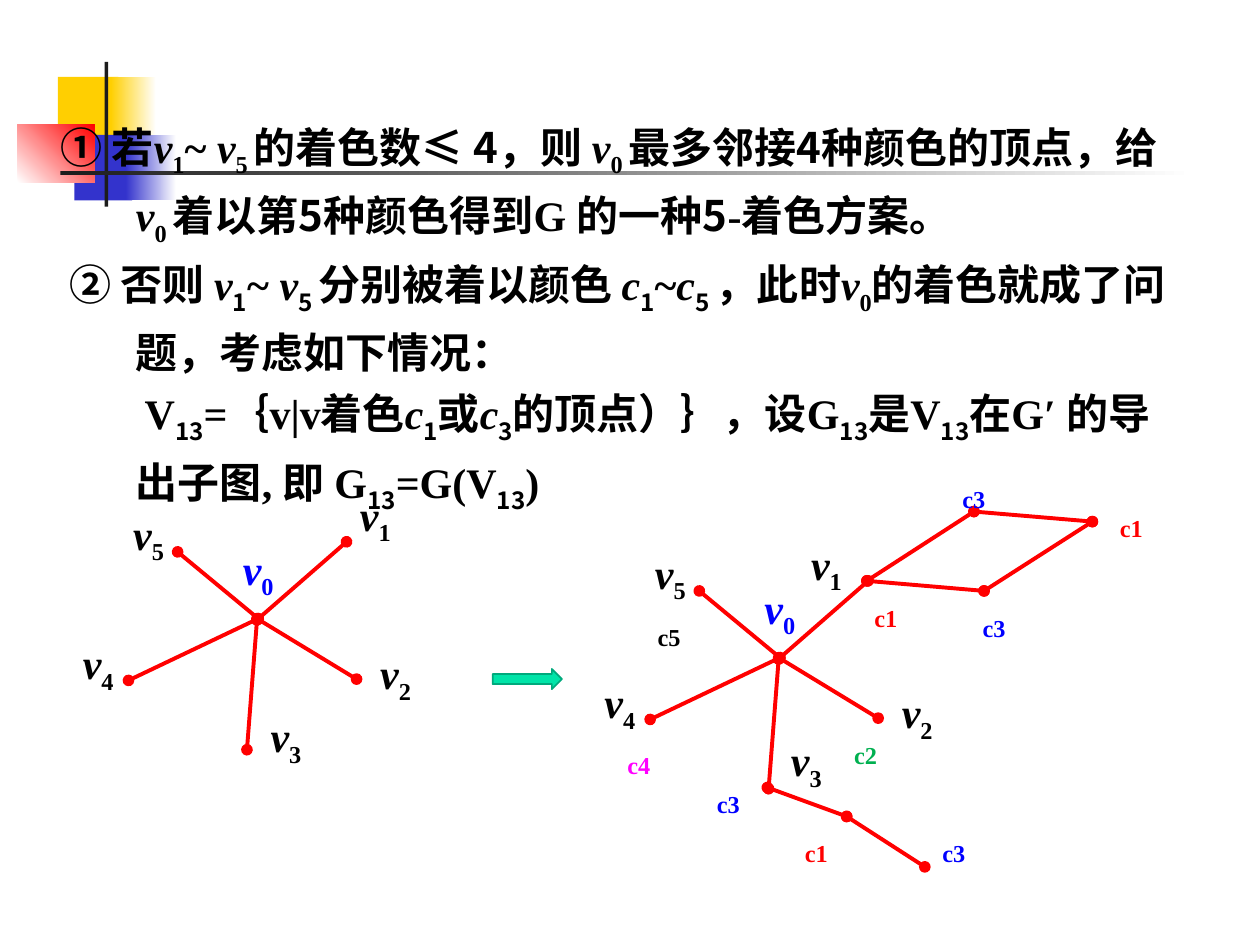
from typing import NamedTuple

from lxml import etree
from pptx import Presentation
from pptx.dml.color import RGBColor
from pptx.enum.shapes import MSO_CONNECTOR, MSO_SHAPE
from pptx.enum.text import MSO_ANCHOR, MSO_AUTO_SIZE, PP_ALIGN
from pptx.oxml.ns import qn
from pptx.util import Inches, Pt

RECT, ARROW = MSO_SHAPE.RECTANGLE, MSO_SHAPE.RIGHT_ARROW
STRAIGHT = MSO_CONNECTOR.STRAIGHT
MIDDLE, TOP = MSO_ANCHOR.MIDDLE, MSO_ANCHOR.TOP
CENTER = PP_ALIGN.CENTER
GROW = MSO_AUTO_SIZE.SHAPE_TO_FIT_TEXT

BLACK = RGBColor(0x00, 0x00, 0x00)
WHITE = RGBColor(0xFF, 0xFF, 0xFF)
RED = RGBColor(0xFF, 0x00, 0x00)
BLUE = RGBColor(0x00, 0x00, 0xFF)
GREEN = RGBColor(0x00, 0xB0, 0x50)
MAGENTA = RGBColor(0xFF, 0x00, 0xFF)
YELLOW = RGBColor(0xFF, 0xCF, 0x01)
INDIGO = RGBColor(0x33, 0x33, 0xCC)
CHARCOAL = RGBColor(0x1C, 0x1C, 0x1C)
MINT = RGBColor(0x00, 0xE4, 0xA8)
TEAL = RGBColor(0x00, 0xA9, 0x7C)

SERIF, SANS = "Times New Roman", "Noto Sans CJK SC"


class Block(NamedTuple):
    x: float
    y: float
    w: float
    h: float
    start: RGBColor
    end: RGBColor | None = None
    angle: float = 0


class Edge(NamedTuple):
    x1: float
    y1: float
    x2: float
    y2: float


class Label(NamedTuple):
    x: float
    y: float
    text: str
    color: RGBColor = BLACK


class Para(NamedTuple):
    indent: float
    runs: list[tuple[str, str]]


BLOCKS = [
    Block(0.46, 0.61, 0.48, 0.52, YELLOW),
    Block(0.88, 0.61, 0.36, 0.52, YELLOW, WHITE),
    Block(0.59, 1.07, 0.46, 0.52, INDIGO),
    Block(1, 1.07, 0.4, 0.52, INDIGO, WHITE),
    Block(0.14, 0.99, 0.61, 0.46, WHITE, RED, 45),
    Block(0.83, 0.49, 0.03, 1.15, CHARCOAL),
    Block(0.48, 1.36, 9, 0.03, CHARCOAL, WHITE),
]

# Style letters: i italic, s subscript, n sans
PARAS = [
    Para(-0.6, [
        ("① 若", "n"), ("v", "i"), ("1", "s"), ("~ ", ""), ("v", "i"), ("5 ", "s"),
        ("的着色数", "n"), ("≤ ", ""), ("4", "n"), ("，则 ", ""), ("v", "i"), ("0 ", "s"),
        ("最多邻接", ""), ("4", "n"), ("种颜色的顶点，给 ", ""), ("v", "i"), ("0 ", "s"),
        ("着以第", ""), ("5", "n"), ("种颜色得到G 的一种", ""), ("5", "n"),
        ("-着色方案。", "")]),
    Para(-0.53, [
        ("② 否则 ", "n"), ("v", "i"), ("1", "ns"), ("~ ", ""), ("v", "i"), ("5 ", "ns"),
        ("分别被着以颜色 ", "n"), ("c", "i"), ("1", "ns"), ("~", ""), ("c", "i"),
        ("5 ", "ns"), ("，此时", "n"), ("v", "i"), ("0", "s"),
        ("的着色就成了问题，考虑如下情况：", "")]),
    Para(0.07, [
        ("V", ""), ("13", "ns"), ("=｛v|v", ""), ("着色", "n"), ("c", "i"), ("1", "ns"),
        ("或", ""), ("c", "i"), ("3", "ns"), ("的顶点）｝，", "n"), ("设G", ""),
        ("13", "ns"), ("是V", ""), ("13", "ns"), ("在G′ 的导出子图, 即 G", ""),
        ("13", "ns"), ("=G(V", ""), ("13", "ns"), (")", "")]),
]

STAR_EDGES = [
    Edge(2.04, 4.92, 2.75, 4.3),
    Edge(2.04, 4.91, 2.83, 5.39),
    Edge(1.96, 5.95, 2.04, 4.92),
    Edge(1.41, 4.38, 2.05, 4.91),
    Edge(1.02, 5.4, 2.05, 4.91),
]
STAR_LABELS = [
    Label(1.82, 4.34, "v0", BLUE),
    Label(2.91, 5.17, "v2"),
    Label(0.95, 4.06, "v5"),
    Label(0.55, 5.09, "v4"),
]
LEFT_LABELS = [Label(2.75, 3.91, "v1"), Label(2.04, 5.67, "v3")]
RIGHT_LABELS = [Label(6.33, 4.3, "v1"), Label(6.17, 5.86, "v3")]
RIGHT_DX, RIGHT_DY = 4.14, 0.31
CHAIN_EDGES = [
    Edge(6.88, 4.61, 7.73, 4.06),
    Edge(6.88, 4.61, 7.81, 4.69),
    Edge(7.73, 4.06, 8.67, 4.14),
    Edge(7.81, 4.69, 8.67, 4.14),
    Edge(6.09, 6.25, 6.72, 6.48),
    Edge(6.72, 6.48, 7.34, 6.88),
]
COLOR_LABELS = [
    Label(6.8, 4.69, "c1", RED),
    Label(6.64, 5.78, "c2", GREEN),
    Label(5.55, 6.17, "c3", BLUE),
    Label(4.84, 5.86, "c4", MAGENTA),
    Label(5.08, 4.84, "c5"),
    Label(7.66, 4.77, "c3", BLUE),
    Label(7.5, 3.75, "c3", BLUE),
    Label(8.75, 3.98, "c1", RED),
    Label(6.25, 6.56, "c1", RED),
    Label(7.34, 6.56, "c3", BLUE),
]


def add_run(p, text: str, *, style: str = "", color: RGBColor = BLACK) -> None:
    r = p.add_run()
    r.text = text
    r.font.size, r.font.bold, r.font.italic = Pt(24), True, "i" in style
    r.font.name = SANS if "n" in style else SERIF
    r.font.color.rgb = color
    if "s" in style:
        r.font._element.set("baseline", "-25000")


def add_frame(shapes, x: float, y: float, w: float, h: float, *, inset=(0, 0), anchor=MIDDLE):
    tf = shapes.add_textbox(Inches(x), Inches(y), Inches(w), Inches(h)).text_frame
    tf.word_wrap, tf.vertical_anchor = True, anchor
    tf.margin_left = tf.margin_right = Inches(inset[0])
    tf.margin_top = tf.margin_bottom = Inches(inset[1])
    return tf


def add_block(shapes, b: Block, kind=RECT):
    sp = shapes.add_shape(kind, Inches(b.x), Inches(b.y), Inches(b.w), Inches(b.h))
    sp.shadow.inherit = False
    sp.line.fill.background()
    if b.end is None:
        sp.fill.solid()
        sp.fill.fore_color.rgb = b.start
    else:
        sp.fill.gradient()
        sp.fill.gradient_angle = b.angle
        for stop, color, position in zip(sp.fill.gradient_stops, (b.start, b.end), (0, 1)):
            stop.color.rgb, stop.position = color, position
    return sp


def add_edge(shapes, e: Edge, dx: float = 0, dy: float = 0) -> None:
    line = shapes.add_connector(STRAIGHT, Inches(e.x1 + dx), Inches(e.y1 + dy),
                                Inches(e.x2 + dx), Inches(e.y2 + dy))
    line.line.color.rgb, line.line.width = RED, Pt(2.25)
    ln = line.line._get_or_add_ln()
    for end in ("a:headEnd", "a:tailEnd"):
        etree.SubElement(ln, qn(end), type="oval")
    etree.SubElement(line._element.spPr, qn("a:effectLst"))


def add_label(shapes, label: Label, dx: float = 0, dy: float = 0) -> None:
    is_vertex = label.text.startswith("v")
    tf = add_frame(shapes, label.x + dx, label.y + dy, 0.46, 0.4 if is_vertex else 0.2)
    tf.auto_size = GROW
    p = tf.paragraphs[0]
    p.alignment = CENTER
    if is_vertex:
        add_run(p, label.text[0], style="i", color=label.color)
        add_run(p, label.text[1], style="s", color=label.color)
    else:
        add_run(p, label.text, style="s", color=label.color)


def add_graph(s, extra_edges: list[Edge], extra_labels: list[Label],
              dx: float = 0, dy: float = 0) -> None:
    shapes = s.shapes.add_group_shape().shapes
    for edge in STAR_EDGES:
        add_edge(shapes, edge, dx, dy)
    for label in STAR_LABELS:
        add_label(shapes, label, dx, dy)
    for edge in extra_edges:
        add_edge(shapes, edge)
    for label in extra_labels:
        add_label(shapes, label)


def add_body(s) -> None:
    tf = add_frame(s.shapes, 0.31, 0.82, 9.22, 3.12, inset=(0.1, 0.05), anchor=TOP)
    for i, para in enumerate(PARAS):
        p = tf.add_paragraph() if i else tf.paragraphs[0]
        p.line_spacing = 1.2
        pPr = p._p.get_or_add_pPr()
        pPr.set("marL", str(Inches(0.67)))
        pPr.set("indent", str(Inches(para.indent)))
        for text, style in para.runs:
            add_run(p, text, style=style)


def main() -> None:
    prs = Presentation()
    prs.slide_width, prs.slide_height = Inches(10), Inches(7.5)
    s = prs.slides.add_slide(prs.slide_layouts[6])
    for block in BLOCKS:
        add_block(s.shapes, block)
    add_body(s)
    add_graph(s, [], LEFT_LABELS)
    add_graph(s, CHAIN_EDGES, RIGHT_LABELS + COLOR_LABELS, RIGHT_DX, RIGHT_DY)
    arrow = add_block(s.shapes, Block(3.91, 5.31, 0.55, 0.16, MINT), ARROW)
    arrow.line.color.rgb, arrow.line.width = TEAL, Pt(1)
    prs.save("out.pptx")


if __name__ == "__main__":
    main()
